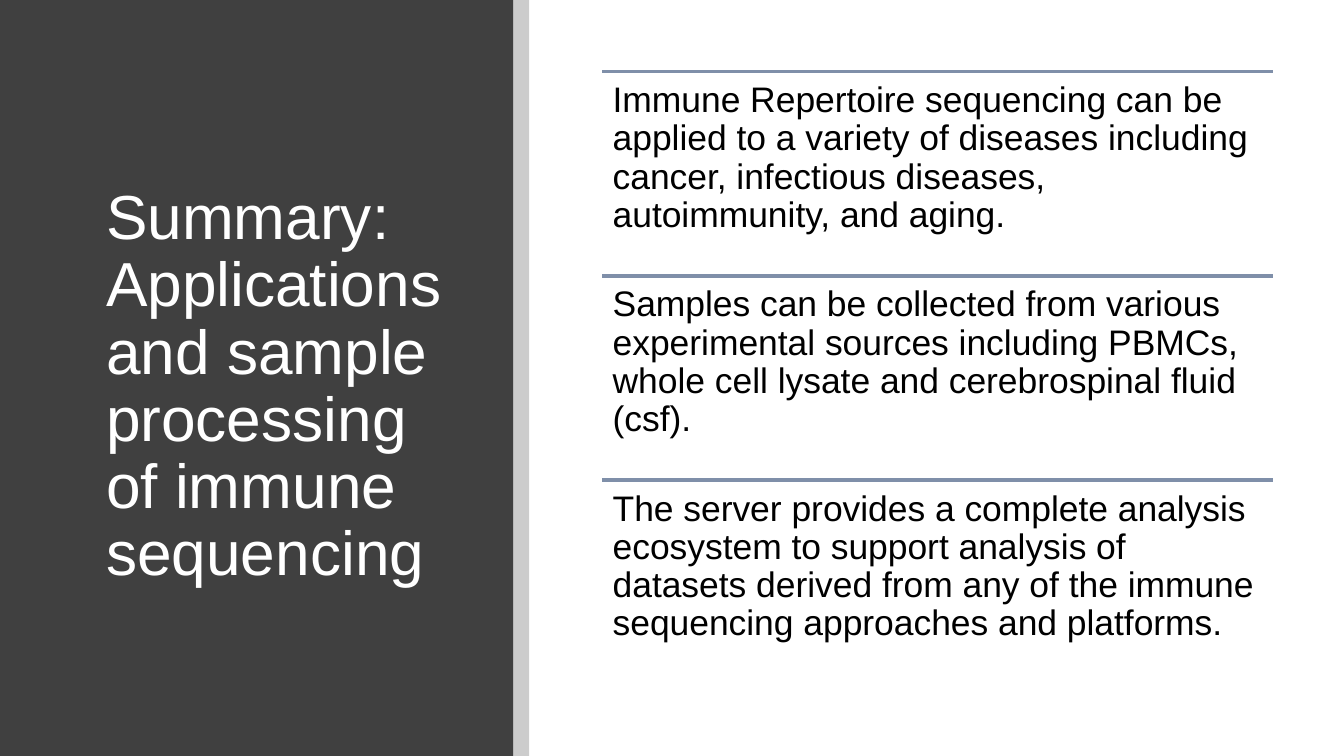
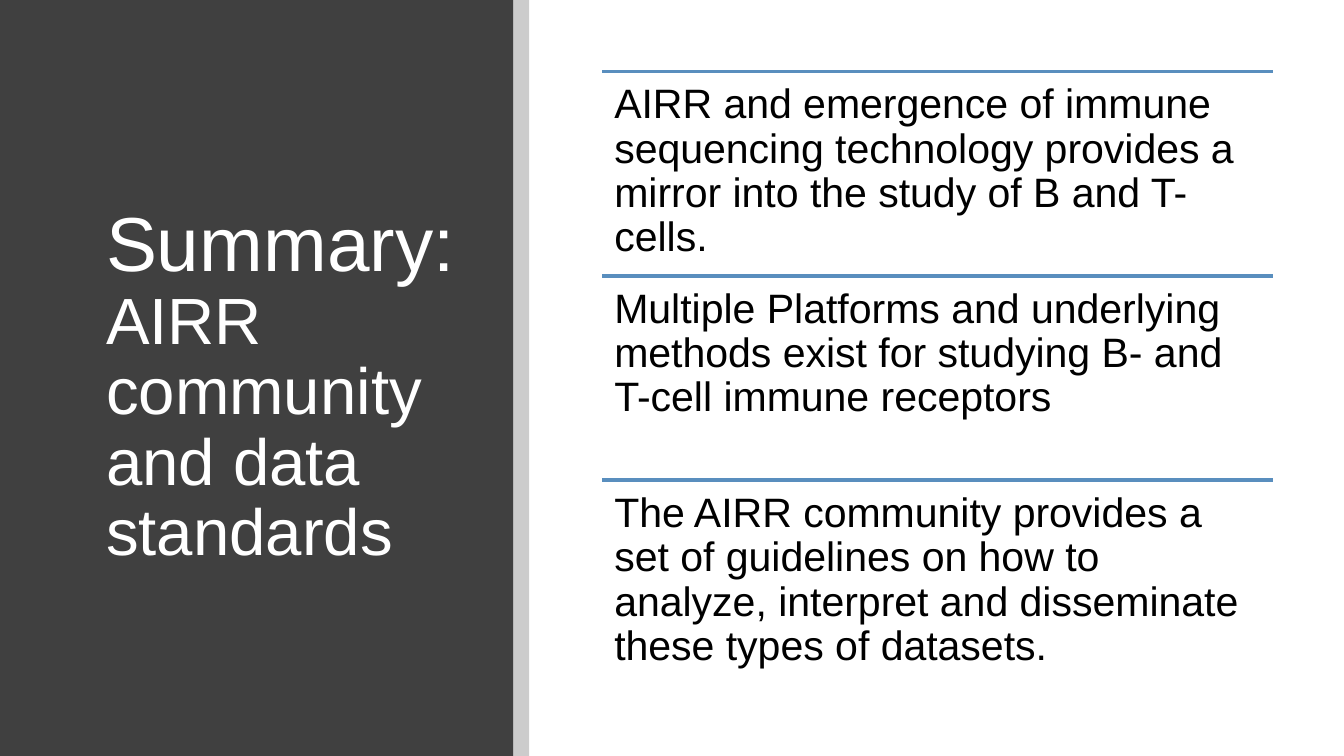
"""Build two summary slides with a dark title panel and three ruled statements each."""
from dataclasses import dataclass

from lxml import etree
from pptx import Presentation
from pptx.dml.color import RGBColor
from pptx.enum.shapes import MSO_CONNECTOR, MSO_SHAPE
from pptx.enum.text import MSO_ANCHOR, MSO_AUTO_SIZE, PP_ALIGN
from pptx.oxml.ns import qn
from pptx.util import Cm, Pt

RECTANGLE = MSO_SHAPE.RECTANGLE
STRAIGHT = MSO_CONNECTOR.STRAIGHT
TOP, MIDDLE = MSO_ANCHOR.TOP, MSO_ANCHOR.MIDDLE
NO_FIT = MSO_AUTO_SIZE.NONE
LEFT = PP_ALIGN.LEFT


@dataclass(frozen=True)
class Theme:
    """Colours, font and type sizes of the deck."""
    font: str = "Arial"
    panel: RGBColor = RGBColor(0x40, 0x40, 0x40)
    black: RGBColor = RGBColor(0, 0, 0)
    white: RGBColor = RGBColor(255, 255, 255)
    slate: RGBColor = RGBColor(0x7F, 0x8F, 0xA9)
    blue: RGBColor = RGBColor(0x59, 0x8E, 0xBE)
    edge_opacity: int = 20
    rule: float = 2
    line_spacing: float = 0.9
    title: float = 33.3
    title_lead: float = 41
    title_rest: float = 35
    statement: float = 19
    statement_large: float = 22


THEME = Theme()
PANEL_WIDTH, EDGE_WIDTH = Cm(9.7), Cm(0.3)
LIST_LEFT, LIST_TOP = Cm(11.38), Cm(1.35)
LIST_WIDTH, ROW_HEIGHT = Cm(12.67), Cm(3.86)

PAGES = [
    {
        "title": [
            ("Summary:", THEME.title),
            ("Applications and sample processing of immune sequencing", THEME.title),
        ],
        "title_width": Cm(6.96),
        "rule": THEME.slate,
        "size": THEME.statement,
        "inset": Cm(0.2),
        "statements": [
            "Immune Repertoire sequencing can be applied to a variety of diseases "
            "including cancer, infectious diseases, autoimmunity, and aging.",
            "Samples can be collected from various experimental sources including "
            "PBMCs, whole cell lysate and cerebrospinal fluid (csf).",
            "The server provides a complete analysis ecosystem to support analysis of "
            "datasets derived from any of the immune sequencing approaches and platforms.",
        ],
    },
    {
        "title": [
            ("Summary:", THEME.title_lead),
            ("AIRR community and data standards", THEME.title_rest),
        ],
        "title_width": Cm(7.39),
        "rule": THEME.blue,
        "size": THEME.statement_large,
        "inset": Cm(0.23),
        "statements": [
            "AIRR and emergence of immune sequencing technology provides a mirror "
            "into the study of B and T-cells.",
            "Multiple Platforms and underlying methods exist for studying B- and "
            "T-cell immune receptors",
            "The AIRR community provides a set of guidelines on how to analyze, "
            "interpret and disseminate these types of datasets.",
        ],
    },
]


def add_band(page, left, width, color):
    """Add a full-height band without outline or shadow."""
    band = page.shapes.add_shape(RECTANGLE, left, 0, width, deck.slide_height)
    band.shadow.inherit = False
    band.fill.solid()
    band.fill.fore_color.rgb = color
    band.line.fill.background()
    return band


def style_paragraph(para, size, color):
    """Apply the shared paragraph style."""
    para.alignment = LEFT
    para.line_spacing = THEME.line_spacing
    para.font.name = THEME.font
    para.font.size = Pt(size)
    para.font.color.rgb = color


deck = Presentation()
deck.slide_width, deck.slide_height = Cm(25.4), Cm(14.29)
title_only = deck.slide_layouts.get_by_name("Title Only")

for content in PAGES:
    page = deck.slides.add_slide(title_only)

    add_band(page, 0, PANEL_WIDTH, THEME.panel)
    edge = add_band(page, PANEL_WIDTH, EDGE_WIDTH, THEME.black)
    edge_color = edge.fill._xPr.find(".//" + qn("a:srgbClr"))
    etree.SubElement(edge_color, qn("a:alpha"), val=str(THEME.edge_opacity * 1000))

    title = page.shapes.title
    page.shapes.element.append(title.element)
    title.left, title.top = Cm(1.75), Cm(1.7)
    title.width, title.height = content["title_width"], Cm(11.25)
    title.text_frame.word_wrap = True
    title.text_frame.auto_size = NO_FIT
    title.text_frame.vertical_anchor = MIDDLE
    para = title.text_frame.paragraphs[0]
    style_paragraph(para, content["title"][0][1], THEME.white)
    for index, (text, size) in enumerate(content["title"]):
        if index:
            para.add_line_break()
        span = para.add_run()
        span.text = text
        span.font.size = Pt(size)

    for row, statement in enumerate(content["statements"]):
        top = LIST_TOP + row * ROW_HEIGHT
        rule = page.shapes.add_connector(
            STRAIGHT, LIST_LEFT, top, LIST_LEFT + LIST_WIDTH, top)
        rule.line.color.rgb = content["rule"]
        rule.line.width = Pt(THEME.rule)
        etree.SubElement(rule.element.spPr, qn("a:effectLst"))

        box = page.shapes.add_textbox(LIST_LEFT, top, LIST_WIDTH, ROW_HEIGHT)
        frame = box.text_frame
        frame.word_wrap = True
        frame.vertical_anchor = TOP
        frame.margin_left = frame.margin_right = content["inset"]
        frame.margin_top = frame.margin_bottom = content["inset"]
        frame.text = statement
        style_paragraph(frame.paragraphs[0], content["size"], THEME.black)

deck.save("out.pptx")
